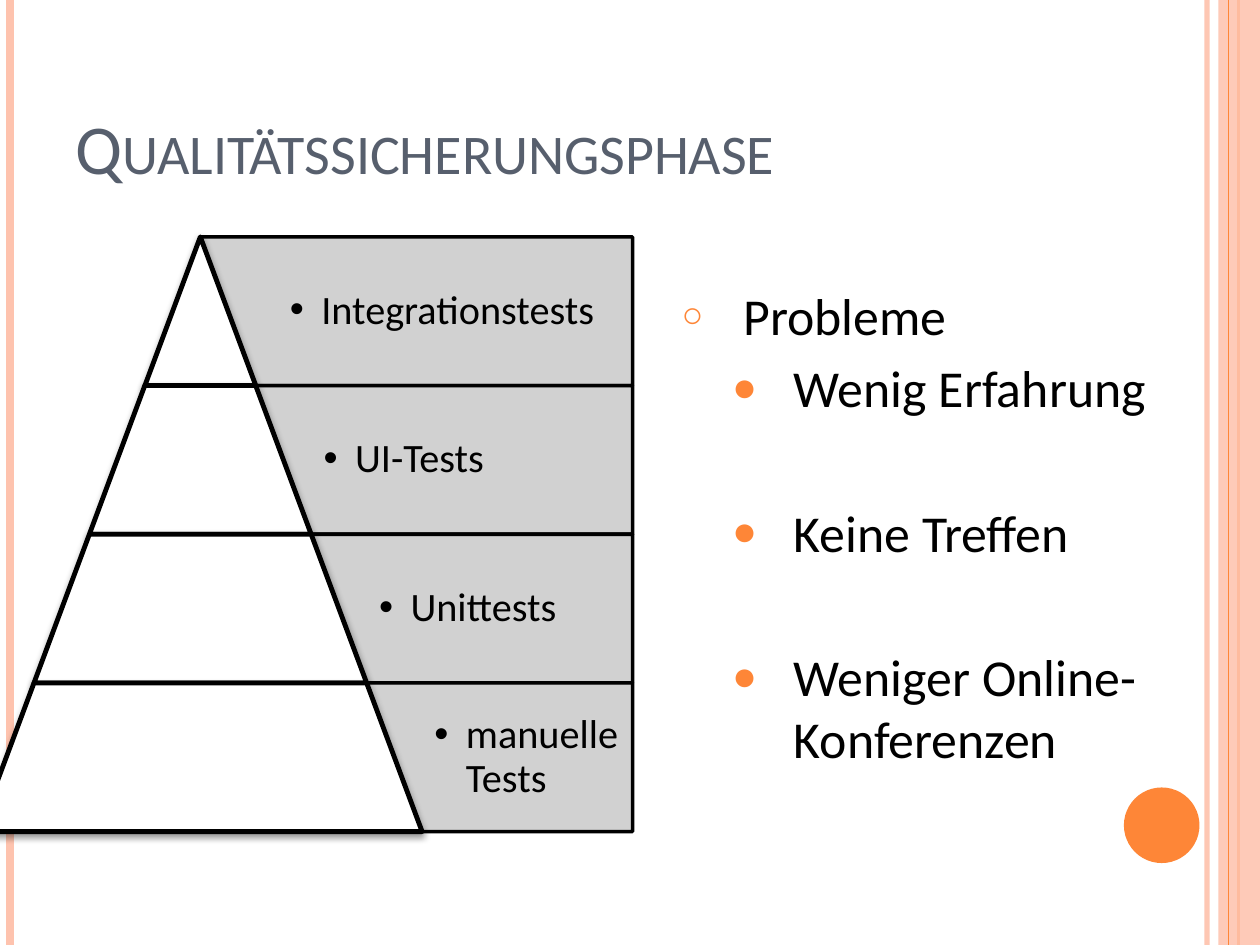
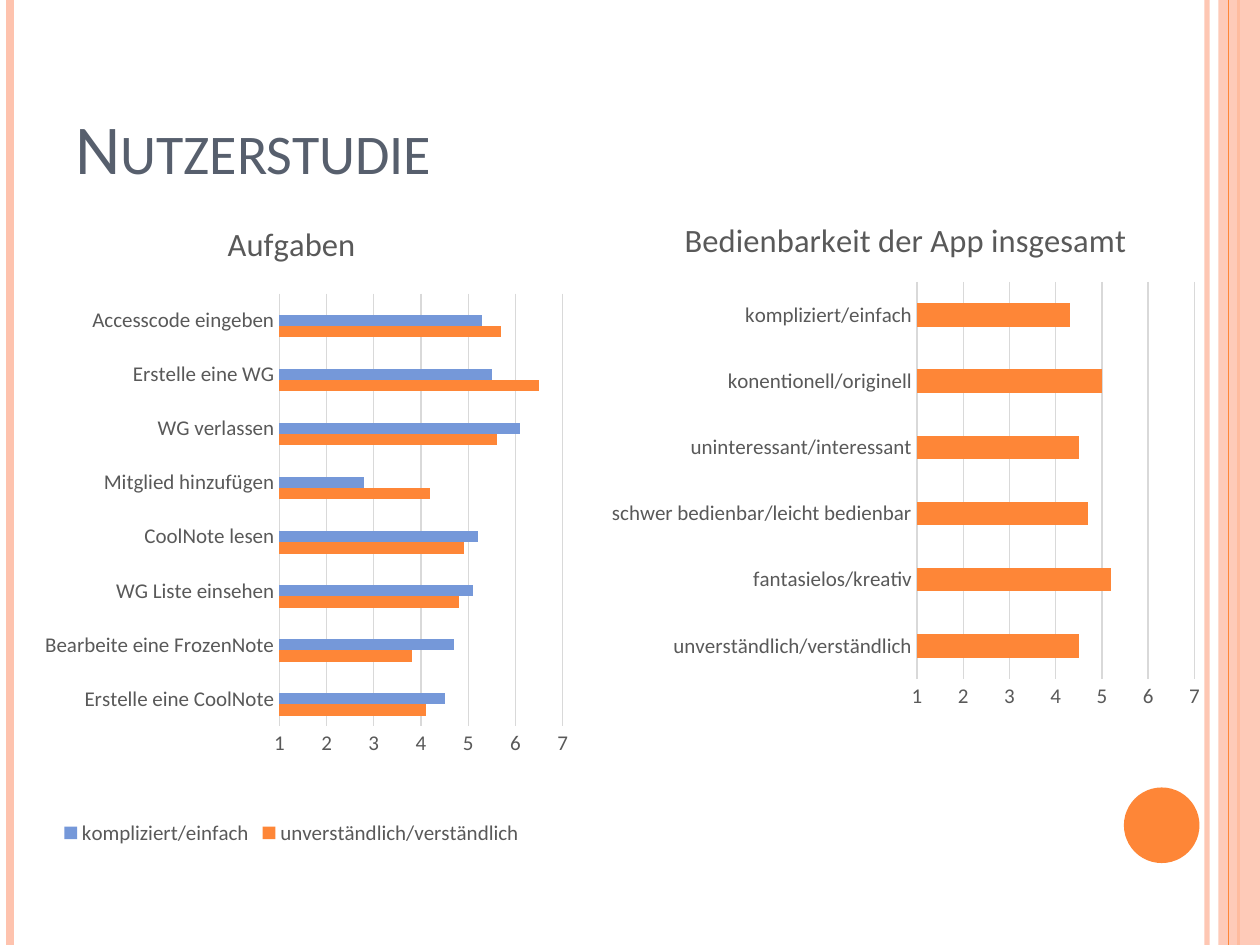
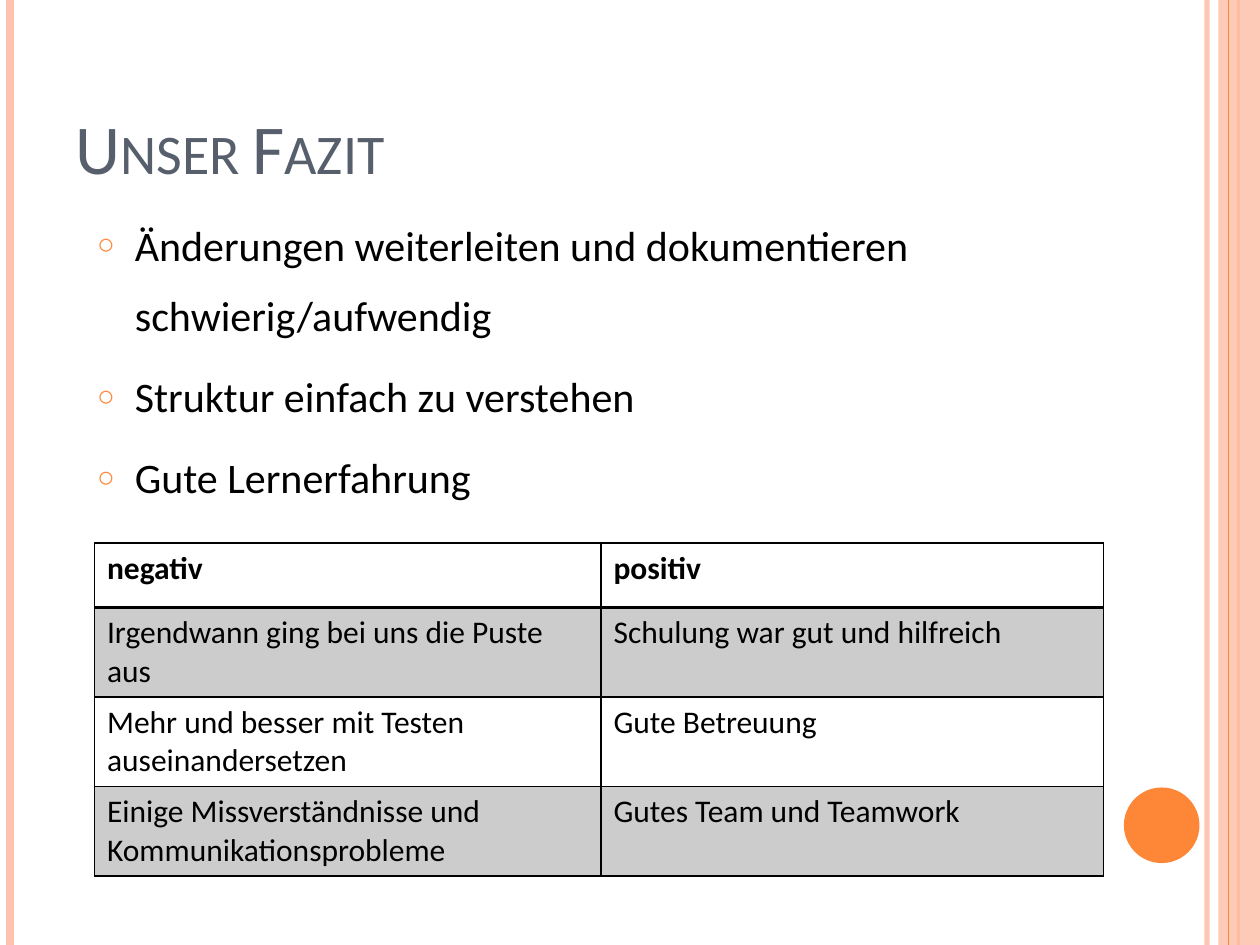
from lxml.etree import SubElement
from pptx import Presentation
from pptx.chart.data import CategoryChartData
from pptx.dml.color import RGBColor
from pptx.enum.chart import XL_CHART_TYPE, XL_LEGEND_POSITION, XL_TICK_MARK
from pptx.enum.shapes import MSO_CONNECTOR, MSO_SHAPE
from pptx.enum.text import MSO_ANCHOR, MSO_AUTO_SIZE, PP_ALIGN
from pptx.oxml.ns import qn
from pptx.util import Pt

# Lengths are px, 100 to the inch
PX = 9144
WIDTH, HEIGHT = 1000, 750
FONT = "Calibri"

BLACK = RGBColor(0x00, 0x00, 0x00)
WHITE = RGBColor(0xFF, 0xFF, 0xFF)
ORANGE = RGBColor(0xFE, 0x86, 0x37)
PEACH = RGBColor(0xFE, 0xC3, 0xAE)
SLATE = RGBColor(0x57, 0x5F, 0x6D)
SILVER = RGBColor(0xCC, 0xCC, 0xCC)
BLUE = RGBColor(0x75, 0x98, 0xD9)
RED = RGBColor(0xB3, 0x2C, 0x16)
CHART_TEXT = RGBColor(0x59, 0x59, 0x59)
CHART_LINE = RGBColor(0xD9, 0xD9, 0xD9)

TITLE_ONLY, TITLE_AND_BODY = 5, 1


def px(*lengths):
    return [length * PX for length in lengths]


def add_xml(parent, tag, **attributes):
    child = SubElement(parent, qn(tag))
    for name, value in attributes.items():
        child.set(name, str(value))
    return child


def set_opacity(shape, percent):
    color = shape.element.find(".//" + qn("a:srgbClr"))
    add_xml(color, "a:alpha", val=percent * 1000)


def set_font(font, size, color=BLACK, bold=False):
    font.name, font.size, font.bold = FONT, Pt(size), bold
    font.color.rgb = color


def set_bullet(para, char, left, hanging, color=None, percent=100):
    properties = para._p.get_or_add_pPr()
    properties.set("marL", str(left * PX))
    properties.set("indent", str(-hanging * PX))
    if color is not None:
        add_xml(add_xml(properties, "a:buClr"), "a:srgbClr", val=color)
    add_xml(properties, "a:buSzPct", val=percent * 1000)
    add_xml(properties, "a:buFont", typeface="Arial")
    add_xml(properties, "a:buChar", char=char)


class SlideBuilder:
    """Holds the deck, its style and the slide being filled."""

    def __init__(self):
        self.deck = Presentation()
        self.deck.slide_width, self.deck.slide_height = px(WIDTH, HEIGHT)
        self.page = None

    def start(self, layout, title):
        self.page = self.deck.slides.add_slide(self.deck.slide_layouts[layout])
        box = self.page.shapes.title
        box.left, box.top, box.width, box.height = px(50, 30, 817, 125)
        frame = box.text_frame
        frame.text = title
        frame.auto_size = MSO_AUTO_SIZE.NONE
        frame.vertical_anchor = MSO_ANCHOR.BOTTOM
        para = frame.paragraphs[0]
        para.alignment = PP_ALIGN.LEFT
        span = para.runs[0]
        set_font(span.font, 40, SLATE)
        span.font._element.set("cap", "small")

    def move_to_master(self):
        """Turn the drawn shapes of the current slide into a shared frame."""
        tree = self.deck.slide_master.element.cSld.spTree
        drawn = [shape for shape in self.page.shapes if not shape.is_placeholder]
        for number, shape in enumerate(drawn, 100):
            shape.element.find(".//" + qn("p:cNvPr")).set("id", str(number))
            tree.append(shape.element)

    def vertical_line(self, x, color, weight, opacity=100):
        line = self.page.shapes.add_connector(
            MSO_CONNECTOR.STRAIGHT, *px(x, 0, x, HEIGHT))
        line.line.color.rgb = color
        line.line.width = Pt(weight)
        add_xml(line.element.spPr, "a:effectLst")
        if opacity < 100:
            set_opacity(line, opacity)

    def shape(self, kind, bounds, fill, opacity=100, weight=0, shadow=False):
        shape = self.page.shapes.add_shape(kind, *px(*bounds))
        shape.shadow.inherit = False
        shape.fill.solid()
        shape.fill.fore_color.rgb = fill
        if opacity < 100:
            set_opacity(shape, opacity)
        if weight:
            shape.line.color.rgb = BLACK
            shape.line.width = Pt(weight)
        else:
            shape.line.fill.background()
        if shadow:
            effects = shape.element.spPr.find(qn("a:effectLst"))
            outer = add_xml(effects, "a:outerShdw", blurRad=Pt(4), dist=Pt(2),
                            dir=90 * 60000, rotWithShape=0)
            color = add_xml(outer, "a:srgbClr", val=BLACK)
            add_xml(color, "a:alpha", val=40000)
        return shape

    def label(self, text, bounds, margin):
        box = self.page.shapes.add_textbox(*px(*bounds))
        frame = box.text_frame
        frame.word_wrap = True
        frame.vertical_anchor = MSO_ANCHOR.MIDDLE
        frame.margin_left = frame.margin_right = margin * PX
        frame.margin_top = frame.margin_bottom = margin * PX
        frame.text = text
        para = frame.paragraphs[0]
        para.line_spacing = 0.9
        set_bullet(para, "•", 25, 25)
        set_font(para.runs[0].font, 23)

    def body(self, bounds, items, size, indent, line_spacing=1.0):
        """Fill the body placeholder; items are (text, level, space before)."""
        box = self.page.placeholders[1]
        box.left, box.top, box.width, box.height = px(*bounds)
        frame = box.text_frame
        frame.text = "\n".join(text for text, _, _ in items)
        frame.auto_size = MSO_AUTO_SIZE.NONE
        for para, (_, level, space) in zip(frame.paragraphs, items):
            para.level = level
            para.line_spacing = line_spacing
            para.space_before = Pt(space)
            char, percent = ("●", 80) if level else ("○", 70)
            set_bullet(para, char, indent + 40 * level, indent, ORANGE, percent)
            set_font(para.runs[0].font, size)

    def bar_chart(self, bounds, title, categories, series, plot=None):
        """Draw grouped bars; series are (name, values, color)."""
        data = CategoryChartData()
        data.categories = categories
        for name, values, _ in series:
            data.add_series(name, values)
        chart = self.page.shapes.add_chart(
            XL_CHART_TYPE.BAR_CLUSTERED, *px(*bounds), data).chart
        set_font(chart.font, 12, CHART_TEXT)
        chart.has_legend = False
        chart.has_title = True
        chart.chart_title.text_frame.text = title
        span = chart.chart_title.text_frame.paragraphs[0].runs[0]
        set_font(span.font, 18.6, CHART_TEXT)

        bars = chart.plots[0]
        bars.gap_width, bars.overlap = 182, 0
        bars.vary_by_categories = False
        for bar, (_, _, color) in zip(bars.series, series):
            bar.invert_if_negative = False
            bar.format.fill.solid()
            bar.format.fill.fore_color.rgb = color

        for axis in (chart.category_axis, chart.value_axis):
            axis.major_tick_mark = axis.minor_tick_mark = XL_TICK_MARK.NONE
            set_font(axis.tick_labels.font, 12, CHART_TEXT)
        names, scale = chart.category_axis, chart.value_axis
        scale.minimum_scale, scale.maximum_scale, scale.major_unit = 1, 7, 1
        scale.format.line.fill.background()
        for line in (names.format.line, scale.major_gridlines.format.line):
            line.color.rgb = CHART_LINE
            line.width = Pt(0.75)
        if plot:
            self.place_plot(chart, plot)
        return chart

    def place_plot(self, chart, fractions):
        area = chart.element.find(".//" + qn("c:plotArea"))
        for old in area.findall(qn("c:layout")):
            area.remove(old)
        layout = add_xml(area, "c:layout")
        area.insert(0, layout)
        manual = add_xml(layout, "c:manualLayout")
        add_xml(manual, "c:layoutTarget", val="inner")
        for mode in ("xMode", "yMode"):
            add_xml(manual, "c:" + mode, val="edge")
        for side, fraction in zip("xywh", fractions):
            add_xml(manual, "c:" + side, val=fraction)

    def legend(self, chart, hidden_entry):
        chart.has_legend = True
        legend = chart.legend
        legend.position = XL_LEGEND_POSITION.BOTTOM
        legend.include_in_layout = False
        set_font(legend.font, 12, CHART_TEXT)
        entry = add_xml(legend._element, "c:legendEntry")
        add_xml(entry, "c:idx", val=hidden_entry)
        add_xml(entry, "c:delete", val=1)
        legend._element.find(qn("c:legendPos")).addnext(entry)

    def table(self, left, top, widths, heights, rows):
        table = self.page.shapes.add_table(
            len(rows), len(widths),
            *px(left, top, sum(widths), sum(heights))).table
        table.horz_banding = False
        for column, width in zip(table.columns, widths):
            column.width = width * PX
        for index, (row, height, texts) in enumerate(
                zip(table.rows, heights, rows)):
            row.height = height * PX
            weights = {"L": 1, "R": 1, "T": 2 if index == 1 else 1,
                       "B": 2 if index == 0 else 1}
            for cell, text in zip(row.cells, texts):
                cell.text = text
                set_font(cell.text_frame.paragraphs[0].runs[0].font, 18,
                         bold=index == 0)
                self.cell_borders(cell, weights)
                cell.fill.solid()
                cell.fill.fore_color.rgb = SILVER if index % 2 else WHITE

    def cell_borders(self, cell, weights):
        properties = cell._tc.get_or_add_tcPr()
        for side, weight in weights.items():
            line = add_xml(properties, "a:ln" + side, w=Pt(weight))
            add_xml(add_xml(line, "a:solidFill"), "a:srgbClr", val=BLACK)


def draw_frame(slides):
    slides.vertical_line(958, PEACH, 3, 93)
    slides.vertical_line(8, PEACH, 4.5)
    slides.vertical_line(983, ORANGE, 1.5)
    slides.shape(MSO_SHAPE.RECTANGLE, (967, 0, 33, HEIGHT), PEACH, 87)
    slides.vertical_line(975, ORANGE, 0.75)
    slides.shape(MSO_SHAPE.OVAL, (892, 625, 60, 60), ORANGE)
    slides.move_to_master()


def draw_test_pyramid(slides):
    apex, top, right, height, step = 159, 188, 502, 118, 44
    tests = ["Integrationstests", "UI-Tests", "Unittests", "manuelle Tests"]
    for index, test in enumerate(tests):
        y = top + index * height
        inner = apex + index * step
        outer = inner + step
        band = slides.shape(MSO_SHAPE.NON_ISOSCELES_TRAPEZOID,
                            (inner, y, right - inner, height), SILVER, 90, 2)
        band.rotation = 180
        band.adjustments[0], band.adjustments[1] = 0, step / height
        slides.label(test, (outer, y, right - outer, height),
                     10 if index else 27)
        base = 2 * (outer - apex)
        layer = slides.shape(MSO_SHAPE.TRAPEZOID,
                             (2 * apex - outer, y, base, height), WHITE,
                             weight=2.75, shadow=True)
        layer.adjustments[0] = step / min(base, height)


def main():
    slides = SlideBuilder()

    # Quality assurance: test pyramid and problems
    slides.start(TITLE_AND_BODY, "Qualitätssicherungsphase")
    draw_frame(slides)
    slides.body((531, 220, 394, 423), [
        ("Probleme", 0, 0),
        ("Wenig Erfahrung", 1, 6),
        ("Keine Treffen", 1, 47),
        ("Weniger Online-Konferenzen", 1, 47),
    ], 29.6, 49)
    draw_test_pyramid(slides)

    # User study: ratings from 1 to 7
    slides.start(TITLE_ONLY, "Nutzerstudie")
    slides.bar_chart(
        (476, 154, 486, 417), "Bedienbarkeit der App insgesamt",
        ["unverständlich/verständlich", "fantasielos/kreativ",
         "schwer bedienbar/leicht bedienbar", "uninteressant/interessant",
         "konentionell/originell", "kompliziert/einfach"],
        [("Bewertung", [4.5, 5.2, 4.7, 4.5, 5, 4.3], ORANGE)])
    tasks = ["Erstelle eine CoolNote", "Bearbeite eine FrozenNote",
             "WG Liste einsehen", "CoolNote lesen", "Mitglied hinzufügen",
             "WG verlassen", "Erstelle eine WG", "Accesscode eingeben"]
    chart = slides.bar_chart(
        (-13, 155, 489, 520), "Aufgaben", tasks,
        [("unverständlich/verständlich",
          [4.1, 3.8, 4.8, 4.9, 4.2, 5.6, 6.5, 5.7], ORANGE),
         ("kompliziert/einfach",
          [4.5, 4.7, 5.1, 5.2, 2.8, 6.1, 5.5, 5.3], BLUE),
         ("Spalte1", [None] * len(tasks), RED)],
        plot=(0.48, 0.15, 0.46, 0.66))
    slides.legend(chart, hidden_entry=0)

    # Conclusion: lessons and comparison table
    slides.start(TITLE_AND_BODY, "Unser Fazit")
    slides.table(75, 431, [402, 399], [51, 71, 71, 71], [
        ("negativ", "positiv"),
        ("Irgendwann ging bei uns die Puste aus",
         "Schulung war gut und hilfreich"),
        ("Mehr und besser mit Testen auseinandersetzen", "Gute Betreuung"),
        ("Einige Missverständnisse und Kommunikationsprobleme",
         "Gutes Team und Teamwork"),
    ])
    slides.body((67, 153, 817, 258), [
        ("Änderungen weiterleiten und dokumentieren schwierig/aufwendig", 0, 6),
        ("Struktur einfach zu verstehen", 0, 6),
        ("Gute Lernerfahrung", 0, 6),
    ], 24, 30, 1.4)

    slides.deck.save("out.pptx")


if __name__ == "__main__":
    main()
